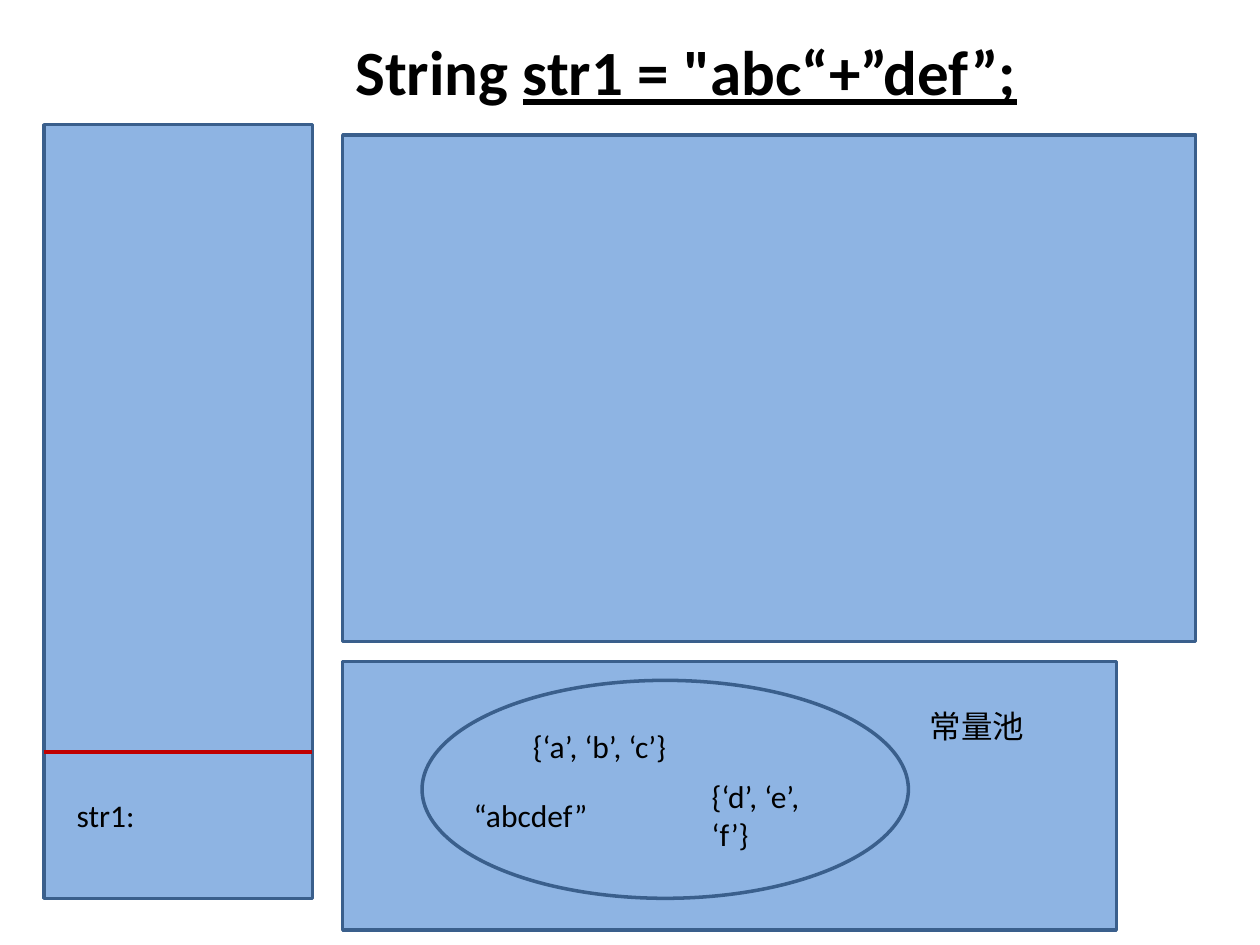
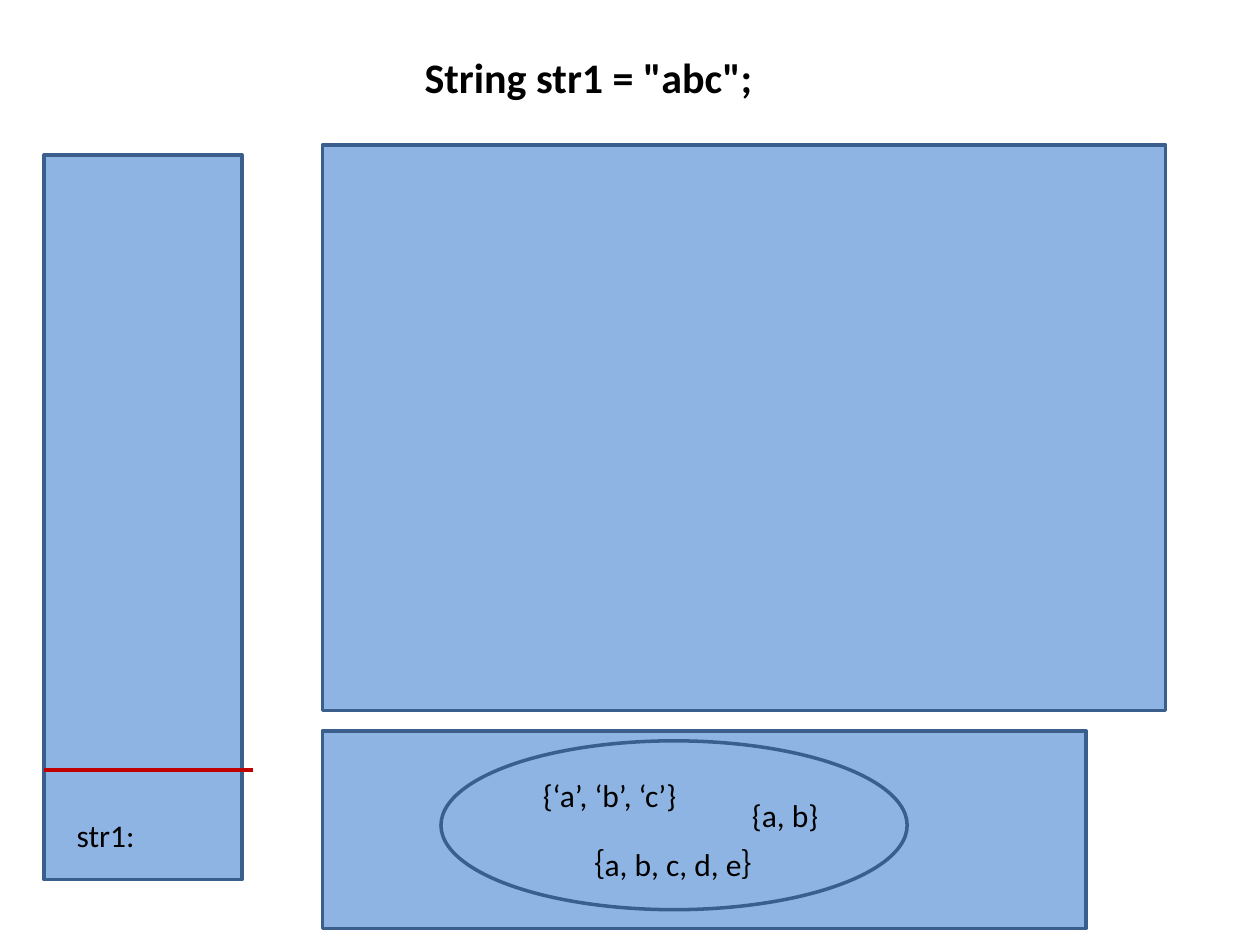
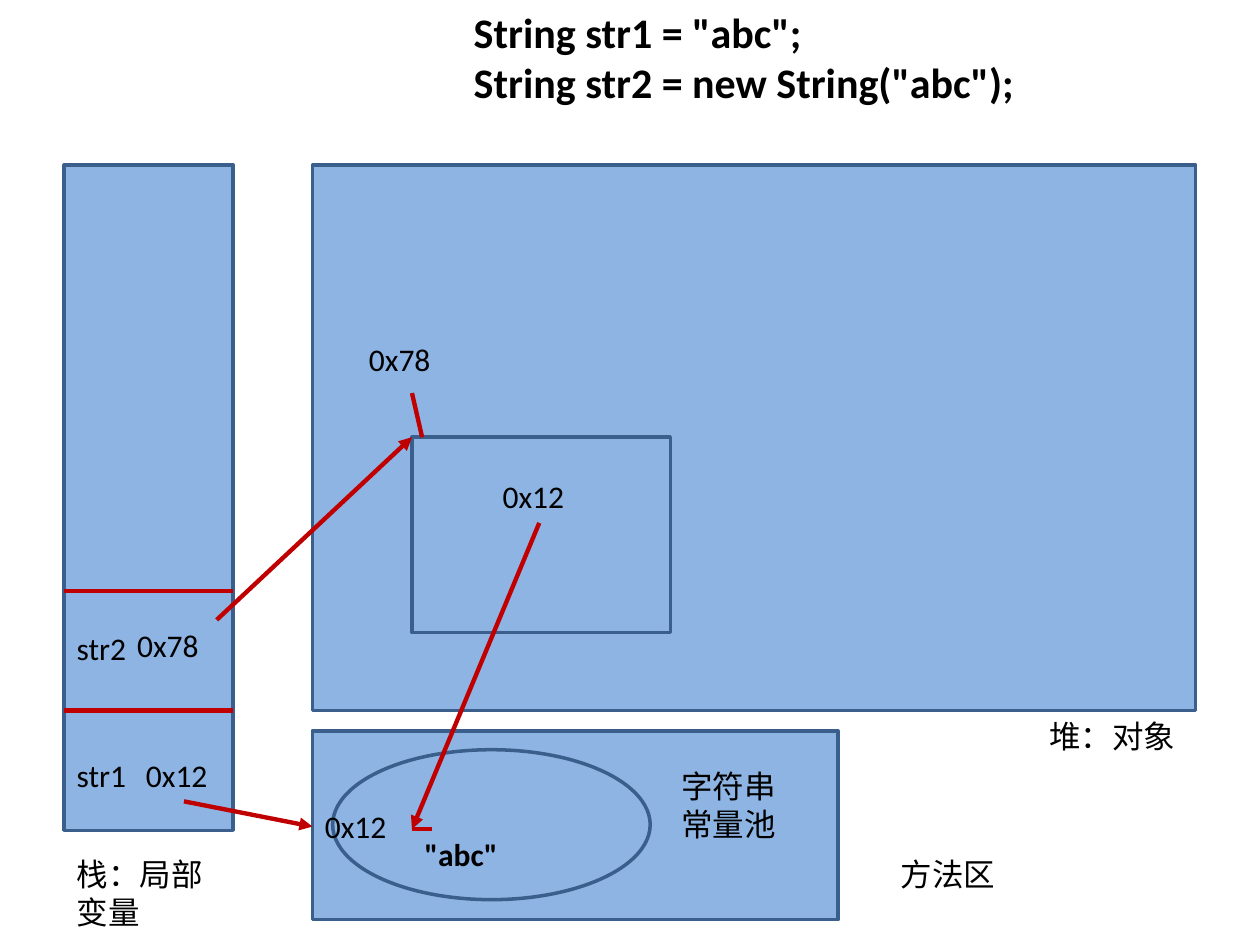
from dataclasses import dataclass

from lxml.etree import SubElement
from pptx import Presentation
from pptx.dml.color import RGBColor as Rgb
from pptx.enum.shapes import MSO_CONNECTOR as Connector, MSO_SHAPE as Shape
from pptx.enum.text import MSO_ANCHOR as Anchor, MSO_AUTO_SIZE as AutoSize, PP_ALIGN as Align
from pptx.oxml.ns import qn
from pptx.util import Emu, Pt

PX = 9144
TITLE_ONLY = 5


@dataclass(frozen=True)
class Theme:
    """Colours, type sizes and line widths shared by the slides."""
    font: str = "Calibri"
    ink: Rgb = Rgb(0, 0, 0)
    paper: Rgb = Rgb(255, 255, 255)
    area: Rgb = Rgb.from_string("8EB4E3")
    edge: Rgb = Rgb.from_string("3A5F8C")
    pointer: Rgb = Rgb.from_string("C00000")
    label_size: int = 18
    title_size: int = 24
    big_title_size: int = 36
    edge_width: float = 2
    pointer_width: float = 2.5


THEME = Theme()


def emu(*lengths):
    """Turn px lengths into EMU."""
    return [Emu(length * PX) for length in lengths]


def apply(target, **values):
    """Set each named format value on the target."""
    for name, value in values.items():
        setattr(target, name, value)


def write(frame, paragraphs, size, bold=False):
    """Fill a text frame with paragraphs made of (text, underline) runs."""
    apply(frame, word_wrap=True, auto_size=AutoSize.SHAPE_TO_FIT_TEXT, vertical_anchor=Anchor.TOP)
    for index, pieces in enumerate(paragraphs):
        paragraph = frame.add_paragraph() if index else frame.paragraphs[0]
        paragraph.alignment = Align.LEFT
        for text, underline in pieces:
            run = paragraph.add_run()
            run.text = text
            apply(run.font, name=THEME.font, size=Pt(size), bold=bold, underline=underline)
            run.font.color.rgb = THEME.ink


def add_code_slide(deck, box, paragraphs, size=THEME.title_size):
    """Add a slide whose title is the code under discussion."""
    slide = deck.slides.add_slide(deck.slide_layouts[TITLE_ONLY])
    title = slide.shapes.title
    apply(title, **dict(zip(("left", "top", "width", "height"), emu(*box))))
    write(title.text_frame, paragraphs, size, bold=True)
    return slide


def add_area(slide, box, outline=Shape.RECTANGLE):
    """Add one filled memory area."""
    area = slide.shapes.add_shape(outline, *emu(*box))
    area.shadow.inherit = False
    area.fill.solid()
    area.fill.fore_color.rgb = THEME.area
    area.line.color.rgb = THEME.edge
    area.line.width = Pt(THEME.edge_width)


def add_memory(slide, stack, heap, method_area, pool):
    """Add the stack, heap and method area with its string pool."""
    for box in (stack, heap, method_area):
        add_area(slide, box)
    add_area(slide, pool, Shape.OVAL)


def add_label(slide, text, left, top, width, height=40, bold=False):
    """Add a text label."""
    label = slide.shapes.add_textbox(*emu(left, top, width, height))
    write(label.text_frame, [[(text, False)]], THEME.label_size, bold)


def add_labels(slide, labels):
    """Add each label of a list."""
    for label in labels:
        add_label(slide, *label)


def add_pointer(slide, start, end, arrow=False):
    """Add a red line, with an arrowhead at its end if wanted."""
    pointer = slide.shapes.add_connector(Connector.STRAIGHT, *emu(*start, *end))
    pointer.line.color.rgb = THEME.pointer
    pointer.line.width = Pt(THEME.pointer_width)
    if arrow:
        SubElement(pointer.line._get_or_add_ln(), qn("a:tailEnd"), type="triangle")
    SubElement(pointer._element.spPr, qn("a:effectLst"))


def add_frame_line(slide, left, right, y):
    """Add a level line that divides the stack."""
    add_pointer(slide, (left, y), (right, y))


def build_concatenation(deck):
    """Show the pool after joining two literals."""
    code = [[("String ", False), ('str1 = "abc“+”def”;', True)]]
    slide = add_code_slide(deck, (272, 21, 748, 71), code, THEME.big_title_size)
    add_memory(slide, stack=(35, 99, 213, 614), heap=(272, 107, 677, 402),
               method_area=(272, 525, 614, 213), pool=(335, 540, 386, 173))
    add_frame_line(slide, 35, 248, 597)
    add_labels(slide, [
        ("常量池", 728, 556, 189),
        ("str1:", 51, 627, 220),
        ("{‘a’, ‘b’, ‘c’}", 413, 572, 228),
        ("{‘d’, ‘e’, ‘f’}", 555, 612, 102, 71),
        ("“abcdef”", 366, 627, 189),
    ])


def build_literal(deck):
    """Show the pool after one literal."""
    slide = add_code_slide(deck, (327, 36, 614, 50), [[('String str1 = "abc";', False)]])
    add_memory(slide, stack=(35, 123, 157, 575), heap=(256, 115, 669, 449),
               method_area=(256, 580, 606, 157), pool=(350, 588, 370, 134))
    add_frame_line(slide, 35, 201, 611)
    add_labels(slide, [
        ("str1:", 51, 643, 118),
        ("{‘a’, ‘b’, ‘c’}", 421, 611, 252),
        ("｛a, b, c, d, e｝", 445, 666, 331),
        ("{a, b}", 587, 627, 134),
    ])


def build_new_string(deck):
    """Show a heap object that points into the pool."""
    code = [[('String str1 = "abc";', False)], [('String str2 = new String("abc");', False)]]
    slide = add_code_slide(deck, (366, 0, 701, 91), code)
    add_memory(slide, stack=(51, 131, 134, 528), heap=(248, 131, 701, 433),
               method_area=(248, 580, 417, 150), pool=(264, 595, 252, 119))
    add_area(slide, (327, 347, 205, 155))
    for y in (469, 564):
        add_frame_line(slide, 51, 185, y)
    add_labels(slide, [
        ("栈：局部变量", 51, 674, 134, 71),
        ("堆：对象", 823, 564, 228),
        ("方法区", 705, 674, 165),
        ("字符串常量池", 531, 604, 118, 71),
        ("str1", 51, 595, 134),
        ("0x12", 106, 595, 79),
        ("str2", 51, 494, 94),
        ("0x78", 99, 492, 145),
        ("0x78", 283, 265, 145),
        ("0x12", 389, 374, 79),
        ("0x12", 248, 636, 79),
        ('"abc"', 327, 658, 110, 40, True),
    ])
    pool_entry, heap_object = (327, 658), (327, 347)
    add_pointer(slide, (343, 658), pool_entry)
    add_pointer(slide, (335, 347), (327, 312))
    for start, end in (((146, 636), (248, 656)), ((428, 415), pool_entry), ((172, 492), heap_object)):
        add_pointer(slide, start, end, arrow=True)


def main():
    """Build and save the deck."""
    deck = Presentation()
    deck.slide_width, deck.slide_height = emu(1000, 750)
    backdrop = deck.slide_master.background.fill
    backdrop.solid()
    backdrop.fore_color.rgb = THEME.paper
    for build in (build_concatenation, build_literal, build_new_string):
        build(deck)
    deck.save("out.pptx")


if __name__ == "__main__":
    main()
